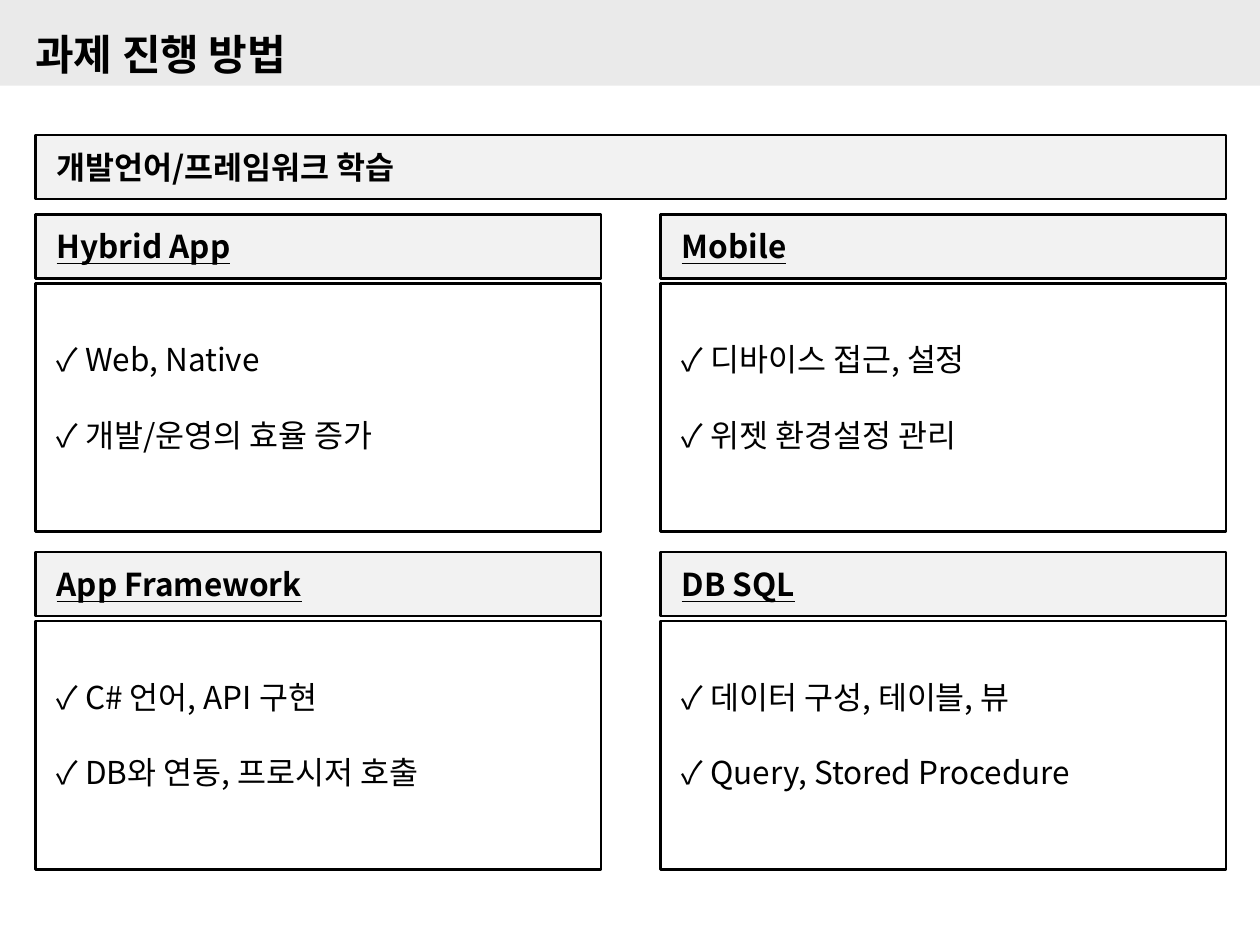
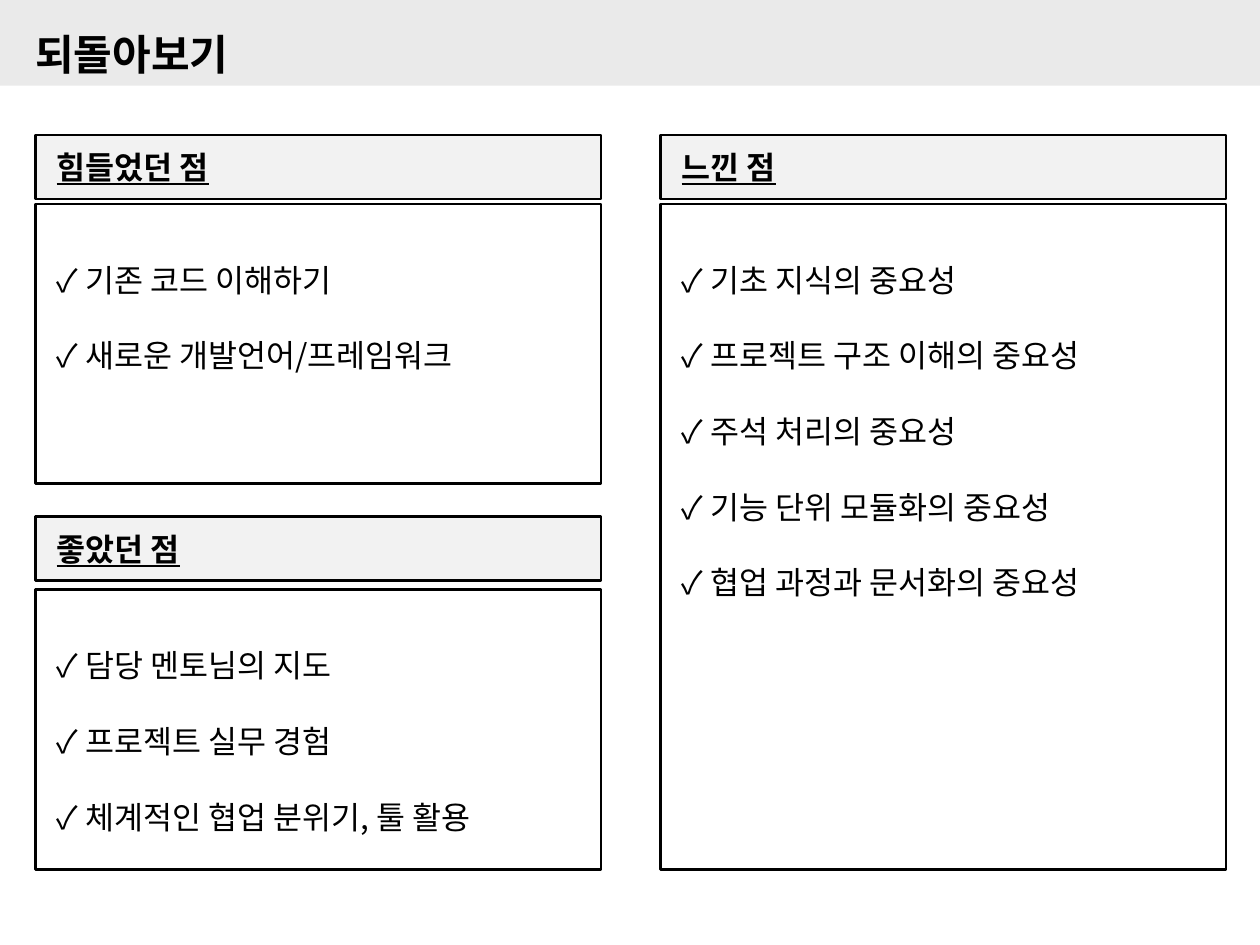
from lxml import etree
from pptx import Presentation
from pptx.dml.color import RGBColor
from pptx.enum.shapes import MSO_SHAPE
from pptx.enum.text import MSO_ANCHOR, PP_ALIGN
from pptx.oxml.ns import qn
from pptx.util import Inches, Pt

RECTANGLE = MSO_SHAPE.RECTANGLE
MIDDLE, TOP = MSO_ANCHOR.MIDDLE, MSO_ANCHOR.TOP
LEFT = PP_ALIGN.LEFT

# Shared look
FONT = "Noto Sans CJK KR"
BLACK, WHITE = "000000", "FFFFFF"
BAND_GRAY, HEADING_GRAY = "EAEAEA", "F2F2F2"
TITLE_SIZE, TEXT_SIZE = 24, 18
ITEM_PITCH = 43.2

# Shared grid, in inches
SLIDE_WIDTH, SLIDE_HEIGHT = 10, 7.5
COLUMNS = (0.28, 5.24)
COLUMN_WIDTH = 4.49
CONTENT_WIDTH = COLUMNS[1] + COLUMN_WIDTH - COLUMNS[0]
CONTENT_TOP, CONTENT_BOTTOM = 1.07, 6.9
HEADING_HEIGHT = 0.51
HEADING_GAP = 0.04
TEXT_INDENT = 0.17


def color(hex_text):
    return RGBColor.from_string(hex_text)


def add_run(paragraph, text, size=TEXT_SIZE, bold=False, underline=False):
    run = paragraph.add_run()
    run.text = text
    font = run.font
    font.name, font.size = FONT, Pt(size)
    font.bold, font.underline = bold, underline
    font.color.rgb = color(BLACK)
    # Hangul takes the East Asian typeface
    east_asian = etree.Element(qn("a:ea"), typeface=FONT)
    font._element.find(qn("a:latin")).addnext(east_asian)


def set_frame(text_frame, anchor, left=0, top=0, wrap=True):
    text_frame.word_wrap = wrap
    text_frame.vertical_anchor = anchor
    text_frame.margin_left, text_frame.margin_top = Inches(left), Inches(top)
    text_frame.margin_right = text_frame.margin_bottom = 0


def add_box(slide, left, top, width, height, fill, outlined=True):
    shape = slide.shapes.add_shape(
        RECTANGLE, Inches(left), Inches(top), Inches(width), Inches(height))
    shape.shadow.inherit = False
    shape.fill.solid()
    shape.fill.fore_color.rgb = color(fill)
    if outlined:
        shape.line.color.rgb = color(BLACK)
        shape.line.width = Pt(1.5)
    else:
        shape.line.fill.background()
    return shape


def add_heading(slide, left, top, width, text, underline=True):
    shape = add_box(slide, left, top, width, HEADING_HEIGHT, HEADING_GRAY)
    set_frame(shape.text_frame, MIDDLE, TEXT_INDENT)
    paragraph = shape.text_frame.paragraphs[0]
    paragraph.alignment = LEFT
    add_run(paragraph, text, bold=True, underline=underline)


def add_checklist(slide, left, top, bottom, items):
    shape = add_box(slide, left, top, COLUMN_WIDTH, bottom - top, WHITE)
    text_frame = shape.text_frame
    set_frame(text_frame, TOP, TEXT_INDENT, 0.15)
    for index, item in enumerate(items):
        paragraph = text_frame.add_paragraph() if index else text_frame.paragraphs[0]
        paragraph.alignment = LEFT
        paragraph.line_spacing = Pt(ITEM_PITCH)
        add_run(paragraph, f"✓ {item}")


def add_panel(slide, column, top, bottom, heading, items, gap=HEADING_GAP):
    left = COLUMNS[column]
    add_heading(slide, left, top, COLUMN_WIDTH, heading)
    add_checklist(slide, left, top + HEADING_HEIGHT + gap, bottom, items)


def add_titled_slide(presentation, layout, text):
    slide = presentation.slides.add_slide(layout)
    title = slide.shapes.title
    title.left, title.top = Inches(COLUMNS[0]), Inches(0.23)
    title.width, title.height = Inches(CONTENT_WIDTH), Inches(0.4)
    set_frame(title.text_frame, MIDDLE)
    paragraph = title.text_frame.paragraphs[0]
    paragraph.alignment = LEFT
    add_run(paragraph, text, TITLE_SIZE, bold=True)
    return slide


def move_band_to_layout(slide, layout):
    band = add_box(slide, 0, 0, SLIDE_WIDTH, 0.68, BAND_GRAY, outlined=False)
    layout.shapes.element.insert(2, band.element)


def build_method_slide(slide):
    add_heading(slide, COLUMNS[0], CONTENT_TOP, CONTENT_WIDTH,
                "개발언어/프레임워크 학습", underline=False)
    topics = [
        ("Hybrid App", ["Web, Native", "개발/운영의 효율 증가"]),
        ("Mobile", ["디바이스 접근, 설정", "위젯 환경설정 관리"]),
        ("App Framework", ["C# 언어, API 구현", "DB와 연동, 프로시저 호출"]),
        ("DB SQL", ["데이터 구성, 테이블, 뷰", "Query, Stored Procedure"]),
    ]
    first_top, row_pitch, panel_height = 1.7, 2.68, 2.52
    for index, (heading, items) in enumerate(topics):
        row, column = divmod(index, len(COLUMNS))
        top = first_top + row * row_pitch
        add_panel(slide, column, top, top + panel_height, heading, items)


def build_review_slide(slide):
    add_panel(slide, 0, CONTENT_TOP, 3.84, "힘들었던 점",
              ["기존 코드 이해하기", "새로운 개발언어/프레임워크"])
    add_panel(slide, 0, 4.1, CONTENT_BOTTOM, "좋았던 점",
              ["담당 멘토님의 지도", "프로젝트 실무 경험",
               "체계적인 협업 분위기, 툴 활용"], gap=0.07)
    add_panel(slide, 1, CONTENT_TOP, CONTENT_BOTTOM, "느낀 점",
              ["기초 지식의 중요성", "프로젝트 구조 이해의 중요성",
               "주석 처리의 중요성", "기능 단위 모듈화의 중요성",
               "협업 과정과 문서화의 중요성"])


def main():
    presentation = Presentation()
    presentation.slide_width = Inches(SLIDE_WIDTH)
    presentation.slide_height = Inches(SLIDE_HEIGHT)
    layout = presentation.slide_layouts.get_by_name("Title Only")

    method_slide = add_titled_slide(presentation, layout, "과제 진행 방법")
    move_band_to_layout(method_slide, layout)
    build_method_slide(method_slide)
    build_review_slide(add_titled_slide(presentation, layout, "되돌아보기"))

    presentation.save("out.pptx")


if __name__ == "__main__":
    main()
